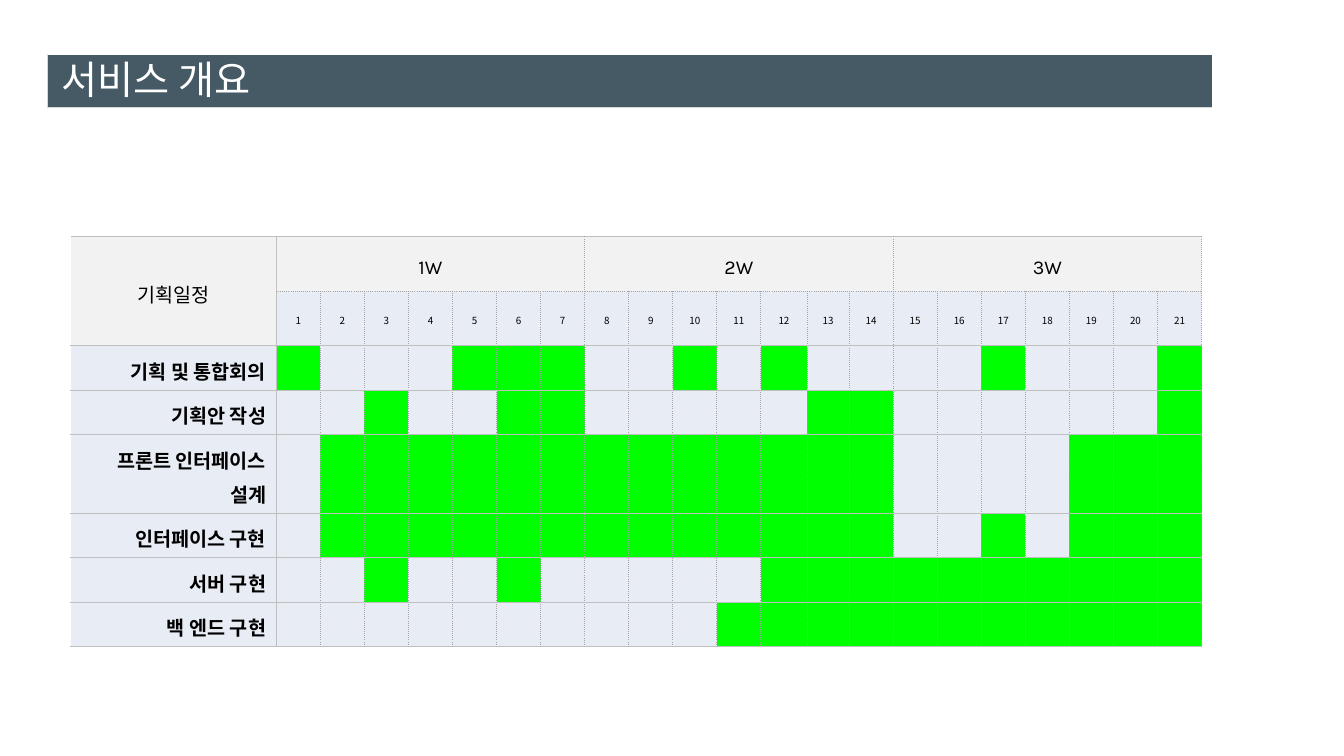
from dataclasses import dataclass

from pptx import Presentation
from pptx.dml.color import RGBColor
from pptx.enum.text import MSO_ANCHOR as Anchor, PP_ALIGN as Align
from pptx.oxml import parse_xml
from pptx.oxml.ns import nsdecls
from pptx.util import Inches, Pt


@dataclass(frozen=True)
class Theme:
    bar: str = "455A64"
    bar_edge: str = "D8D8D8"
    header: str = "F2F2F2"
    cell: str = "E8ECF4"
    busy: str = "00FF00"
    rule: str = "BFBFBF"
    dots: str = "A5A5A5"
    white: str = "FFFFFF"
    black: str = "000000"
    title_font: str = "Lato"
    label_font: str = "Karla"
    day_font: str = "Noto Sans CJK KR"
    title_size: int = 28
    label_size: int = 14
    day_size: int = 7


THEME = Theme()
SOLID = (THEME.rule, 0.75, "solid")
DOTTED = (THEME.dots, 0.75, "dot")
OUTER = (THEME.white, 1, "solid")
BAR_EDGE = (THEME.bar_edge, 0.75, "solid")

LABEL = {"size": Pt(THEME.label_size), "name": THEME.label_font}
TASK = LABEL | {"bold": True}
DAY = {"size": Pt(THEME.day_size), "name": THEME.day_font}
TITLE = {"size": Pt(THEME.title_size), "name": THEME.title_font}

FRAME_SIDE = 3.28
WEEKS = 3
DAYS_PER_WEEK = 7
DAYS = WEEKS * DAYS_PER_WEEK
HEADER_ROWS = 2
DAY_NUDGES = {12: 0.02, 13: -0.02}
TASKS = {
    "기획 및 통합회의": {1, 5, 6, 7, 10, 12, 17, 21},
    "기획안 작성": {3, 6, 7, 13, 14, 21},
    "프론트 인터페이스 설계": {*range(2, 15), 19, 20, 21},
    "인터페이스 구현": {*range(2, 15), 17, 19, 20, 21},
    "서버 구현": {3, 6, *range(12, 22)},
    "백 엔드 구현": {*range(11, 22)},
}


def write(para, text, style, color):
    run = para.add_run()
    run.text = text
    for name, value in style.items():
        setattr(run.font, name, value)
    run.font.color.rgb = RGBColor.from_string(color)


def paint(cell, color, **edges):
    properties = cell._tc.get_or_add_tcPr()
    for side in "LRTB":
        if side in edges:
            line_color, width, dash = edges[side]
            properties.append(parse_xml(
                f'<a:ln{side} {nsdecls("a")} w="{Pt(width)}"><a:solidFill>'
                f'<a:srgbClr val="{line_color}"/></a:solidFill>'
                f'<a:prstDash val="{dash}"/></a:ln{side}>'))
    cell.fill.solid()
    cell.fill.fore_color.rgb = RGBColor.from_string(color)


def fill_text(cell, text, style, align, spacing):
    cell.vertical_anchor = Anchor.MIDDLE
    para = cell.text_frame.paragraphs[0]
    para.alignment = align
    para.line_spacing = spacing
    write(para, text, style, THEME.black)


def add_grid(page, left, top, widths, heights):
    frame = page.shapes.add_table(
        len(heights), len(widths), Inches(left), Inches(top),
        Inches(FRAME_SIDE), Inches(FRAME_SIDE))
    table = frame.table
    table.first_row = table.horz_banding = False
    for column, width in zip(table.columns, widths):
        column.width = Inches(width)
    for row, height in zip(table.rows, heights):
        row.height = Inches(height)
    frame.width = frame.height = Inches(FRAME_SIDE)
    return frame


def add_heading(page, left, top, width, height):
    bar = add_grid(page, left, top, [width], [height])
    paint(bar.table.cell(0, 0), THEME.bar, L=BAR_EDGE, B=BAR_EDGE)

    title = page.shapes.title
    title.left, title.top = Inches(left + 0.04), Inches(top - 0.09)
    title.width, title.height = Inches(12.49), Inches(0.67)
    title.text_frame.vertical_anchor = Anchor.MIDDLE
    para = title.text_frame.paragraphs[0]
    para.alignment = Align.LEFT
    write(para, "서비스 개요", TITLE, THEME.white)
    bar.element.addnext(title.element)


def add_header(table):
    for row in range(HEADER_ROWS):
        paint(table.cell(row, 0), THEME.header, L=OUTER, R=SOLID, T=SOLID, B=SOLID)
    table.cell(0, 0).merge(table.cell(1, 0))
    fill_text(table.cell(0, 0), "기획일정", LABEL, Align.CENTER, 1.2)

    for day in range(1, DAYS + 1):
        left_edge = SOLID if day == 1 else DOTTED
        paint(table.cell(0, day), THEME.header, L=left_edge, R=DOTTED, T=SOLID, B=DOTTED)
        paint(table.cell(1, day), THEME.cell, L=left_edge, R=DOTTED, T=DOTTED, B=SOLID)
        fill_text(table.cell(1, day), str(day), DAY, Align.CENTER, 1.3)

    for week in range(WEEKS):
        first = 1 + week * DAYS_PER_WEEK
        table.cell(0, first).merge(table.cell(0, first + DAYS_PER_WEEK - 1))
        fill_text(table.cell(0, first), f"{week + 1}W", LABEL, Align.CENTER, 1.3)


def add_schedule(page, left, top, label_width, days_width):
    day_widths = [days_width / DAYS + DAY_NUDGES.get(day, 0) for day in range(1, DAYS + 1)]
    heights = [0.54] * HEADER_ROWS + [0.4] * len(TASKS)
    table = add_grid(page, left, top, [label_width, *day_widths], heights).table
    add_header(table)
    for row, (task, busy_days) in enumerate(TASKS.items(), HEADER_ROWS):
        paint(table.cell(row, 0), THEME.cell, L=OUTER, R=SOLID, T=SOLID, B=SOLID)
        fill_text(table.cell(row, 0), task, TASK, Align.RIGHT, 1.2)
        for day in range(1, DAYS + 1):
            paint(table.cell(row, day), THEME.busy if day in busy_days else THEME.cell,
                  L=SOLID if day == 1 else DOTTED, R=DOTTED, T=SOLID, B=SOLID)


def main():
    deck = Presentation()
    deck.slide_width, deck.slide_height = Inches(13.33), Inches(7.5)
    page = deck.slides.add_slide(deck.slide_layouts[5])
    add_heading(page, 0.47, 0.54, 11.56, 0.53)
    add_schedule(page, 0.7, 2.35, 2.04, 9.18)
    deck.save("out.pptx")


if __name__ == "__main__":
    main()
